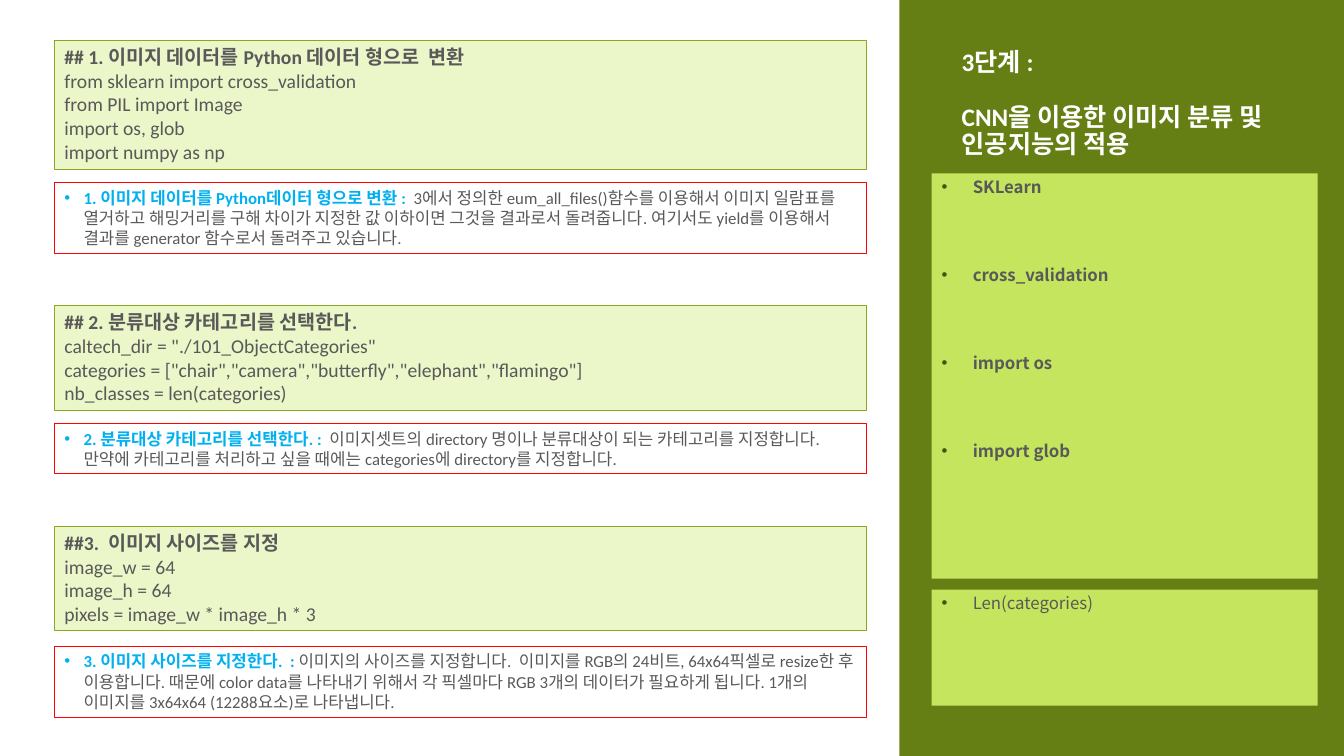
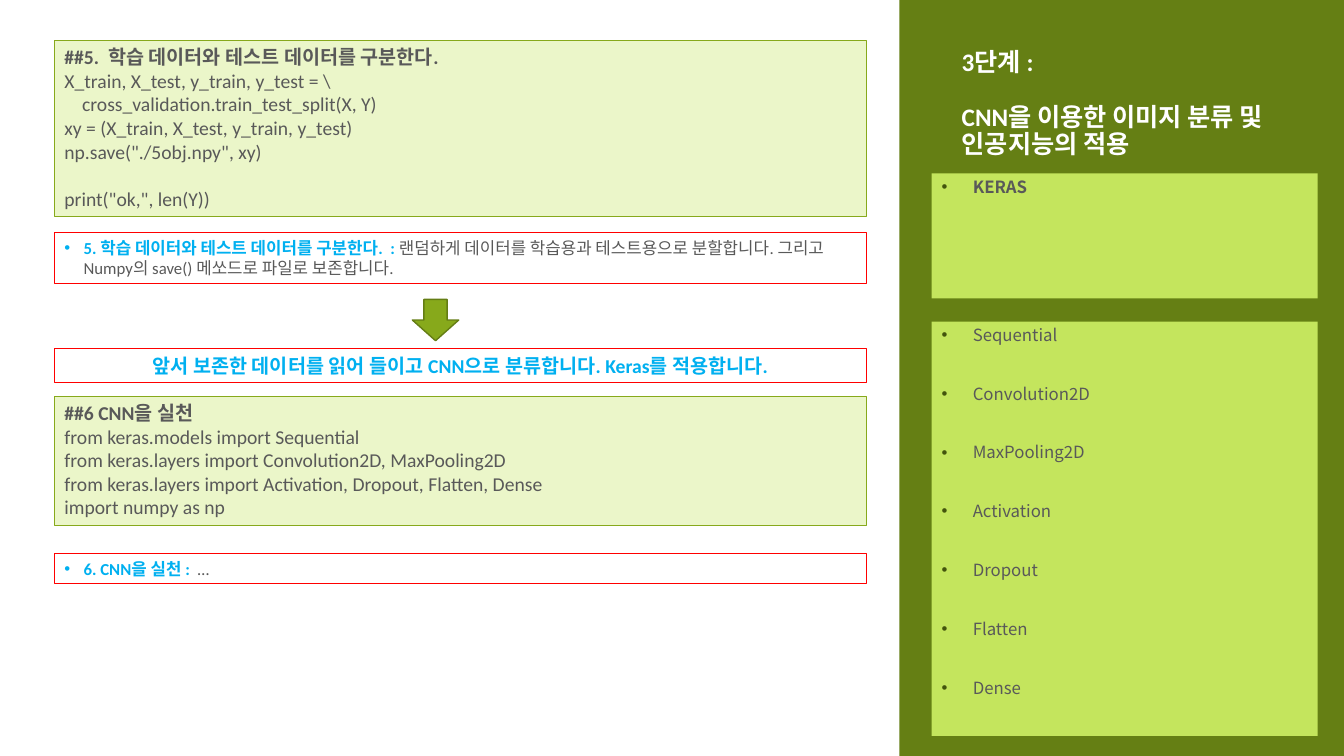
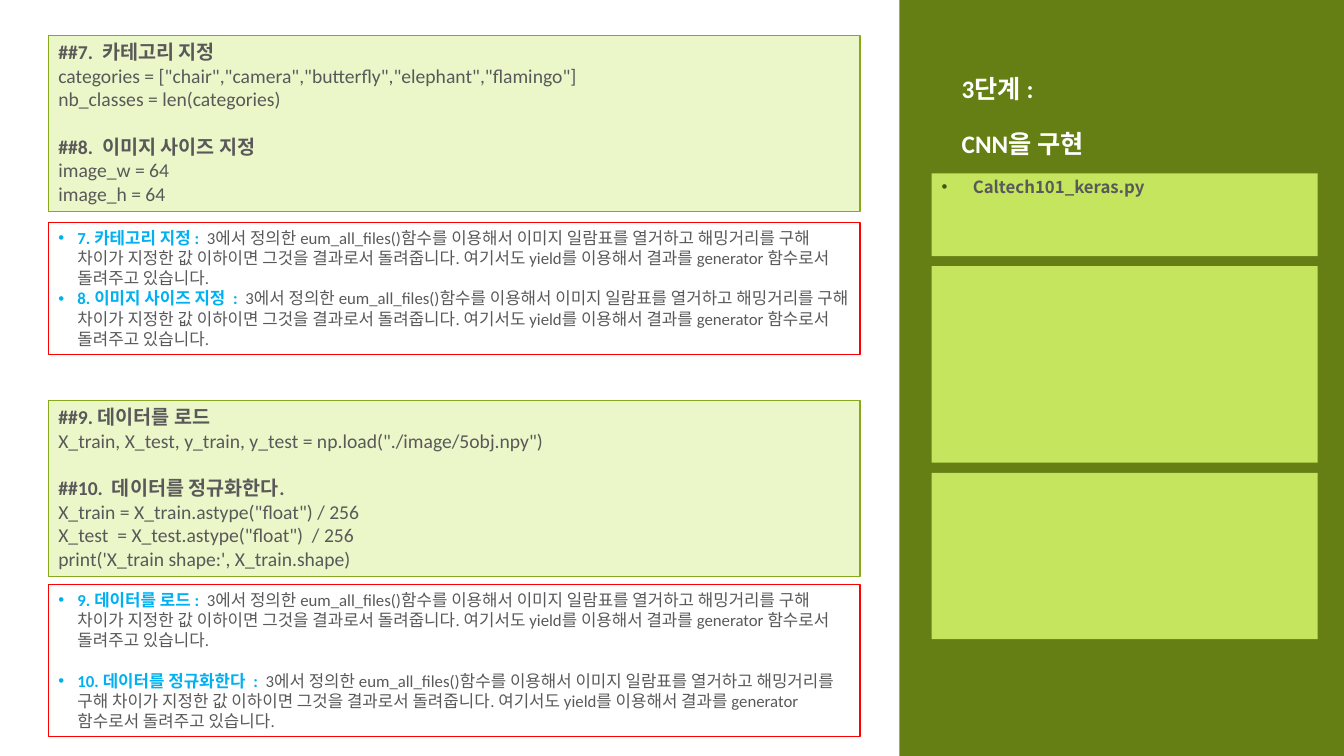
from lxml import etree
from pptx import Presentation
from pptx import util as u
from pptx.dml.color import RGBColor
from pptx.enum import shapes, text
from pptx.oxml.ns import qn

PX = 9144
HUE = {
    "band": "657F14", "card": "C4E55D", "code": "EBF6C9", "edge": "87A91B",
    "rim": "647D14", "red": "FF0000", "blue": "00B0F0", "ink": "595959",
    "dot": "43540D", "white": "FFFFFF",
}
LATIN, HANGUL = "Calibri", "Noto Sans CJK KR"
FRAME = {"word_wrap": True, "vertical_anchor": text.MSO_ANCHOR.TOP}
GROW = {**FRAME, "auto_size": text.MSO_AUTO_SIZE.SHAPE_TO_FIT_TEXT}
FONT = {
    "title": {"name": LATIN, "size": u.Pt(18), "bold": True},
    "head": {"name": LATIN, "size": u.Pt(14), "bold": True},
    "code": {"name": LATIN, "size": u.Pt(14), "bold": False},
    "label": {"name": LATIN, "size": u.Pt(12), "bold": True},
    "note": {"name": LATIN, "size": u.Pt(12), "bold": False},
    "term": {"name": HANGUL, "size": u.Pt(12), "bold": False},
    "key": {"name": HANGUL, "size": u.Pt(12), "bold": True},
}
LEFT = {"alignment": text.PP_ALIGN.LEFT}
MID = {"alignment": text.PP_ALIGN.CENTER}
WIDTH = 805


def tint(name):
    return RGBColor.from_string(HUE[name])


def apply(item, vals):
    for key, val in vals.items():
        setattr(item, key, val)


def shape(slide, box, fill=None, line=None, kind="RECTANGLE", wide=0.75):
    part = slide.shapes.add_shape(
        getattr(shapes.MSO_SHAPE, kind), *(n * PX for n in box))
    part.shadow.inherit = False
    if fill:
        part.fill.solid()
        part.fill.fore_color.rgb = tint(fill)
    else:
        part.fill.background()
    if line:
        part.line.color.rgb = tint(line)
        part.line.width = u.Pt(wide)
    else:
        part.line.fill.background()
    return part


def write(para, words, font, hue="ink"):
    run = para.add_run()
    run.text = words
    apply(run.font, FONT[font])
    run.font.color.rgb = tint(hue)


def lines(frame, count):
    for i in range(count):
        yield frame.add_paragraph() if i else frame.paragraphs[0]


def bullet(para, dent, hue=None):
    props = para._p.get_or_add_pPr()
    props.set("marL", str(dent * PX))
    props.set("indent", str(-dent * PX))
    if hue:
        color = etree.SubElement(props, qn("a:buClr"))
        etree.SubElement(color, qn("a:srgbClr"), val=HUE[hue])
    etree.SubElement(props, qn("a:buFont"), typeface="Arial")
    etree.SubElement(props, qn("a:buChar"), char="•")


def code(slide, box, words):
    frame = shape(slide, box, "code", "edge").text_frame
    apply(frame, GROW)
    rows = words.split("\n")
    full = [(row, i and not rows[i - 1]) for i, row in enumerate(rows) if row]
    for para, (row, gap) in zip(lines(frame, len(full)), full):
        apply(para, LEFT)
        if gap:
            para.space_before = u.Pt(17)
        write(para, row, "head" if row.startswith("##") else "code")


def note(slide, box, pairs, gap=0):
    frame = shape(slide, box, None, "red").text_frame
    apply(frame, GROW)
    for i, para in enumerate(lines(frame, len(pairs))):
        bullet(para, 19)
        apply(para, LEFT)
        if i and gap:
            para.space_before = u.Pt(gap)
        label, body = pairs[i]
        write(para, label, "label", "blue")
        write(para, body, "note")


def banner(slide, box, words):
    frame = shape(slide, box, None, "red").text_frame
    apply(frame, GROW)
    para = frame.paragraphs[0]
    apply(para, MID)
    write(para, words, "head", "blue")


def arrow(slide, box):
    x, y, w, h = box
    shape(slide, (x + 355, y, 46, h), "edge", "rim", "DOWN_ARROW", 1)


def card(slide, box, terms=(), font="term", gap=8):
    frame = shape(slide, box, "card").text_frame
    apply(frame, FRAME)
    for i, para in enumerate(lines(frame, len(terms))):
        bullet(para, 31, "dot")
        apply(para, {**LEFT, "line_spacing": u.Pt(13)})
        if i:
            para.space_before = u.Pt(gap)
        write(para, terms[i], font)


def side(slide, box, title, cards):
    x, y, w, h = box
    shape(slide, box, "band")
    part = slide.shapes.add_textbox(
        *(n * PX for n in (x + 52, y + 35, w - 99, 128)))
    frame = part.text_frame
    apply(frame, {"word_wrap": True, "vertical_anchor": text.MSO_ANCHOR.BOTTOM})
    for i, para in enumerate(lines(frame, len(title))):
        para.line_spacing = 0.9
        if i:
            para.space_before = u.Pt(19.8)
        write(para, title[i], "title", "white")
    for top, tall, *rest in cards:
        card(slide, (x + 32, y + top, w - 58, tall), *rest)


def main_part(slide, at, parts):
    x, y = at
    for draw, top, tall, *rest in parts:
        draw(slide, (x, y + top, WIDTH, tall), *rest)


STEP = "3단계 : "
APPLY = (STEP, "CNN을 이용한 이미지 분류 및 인공지능의 적용")
BUILD = (STEP, "CNN을 구현")
SUM = ("3에서 정의한 eum_all_files()함수를 이용해서 이미지 일람표를 열거하고 "
       "해밍거리를 구해 차이가 지정한 값 이하이면 그것을 결과로서 돌려줍니다. "
       "여기서도 yield를 이용해서 결과를 generator 함수로서 돌려주고 있습니다.")

DECK = [
    (APPLY, [
        (172, 402, ("SKLearn", "cross_validation", "import os", "import glob"),
         "key", 50),
        (585, 115, ("Len(categories)",)),
    ], (54, 40), [
        (code, 0, 128, """## 1. 이미지 데이터를 Python 데이터 형으로  변환
from sklearn import cross_validation
from PIL import Image
import os, glob
import numpy as np"""),
        (note, 141, 71, [
            ("1. 이미지 데이터를 Python데이터 형으로 변환 :  ", SUM)]),
        (code, 263, 104, """## 2. 분류대상 카테고리를 선택한다.
caltech_dir = "./101_ObjectCategories"
categories = ["chair","camera","butterfly","elephant","flamingo"]
nb_classes = len(categories)"""),
        (note, 380, 50, [
            ("2. 분류대상 카테고리를 선택한다. :  ",
             "이미지셋트의 directory 명이나 분류대상이 되는 카테고리를 지정합니다. "
             "만약에 카테고리를 처리하고 싶을 때에는 categories에 directory를 "
             "지정합니다.")]),
        (code, 482, 104, """##3.  이미지 사이즈를 지정
image_w = 64
image_h = 64
pixels = image_w * image_h * 3"""),
        (note, 601, 71, [
            ("3. 이미지 사이즈를 지정한다.  : ",
             "이미지의 사이즈를 지정합니다.  이미지를 RGB의 24비트, 64x64픽셀로 "
             "resize한 후 이용합니다. 때문에 color data를 나타내기 위해서 각 픽셀마다 "
             "RGB 3개의 데이터가 필요하게 됩니다. 1개의 이미지를 3x64x64 "
             "(12288요소)로 나타냅니다.")]),
    ]),
    (APPLY, [
        (172, 124, ("KERAS",), "key"),
        (319, 411, ("Sequential", "Convolution2D", "MaxPooling2D", "Activation",
                    "Dropout", "Flatten", "Dense"), "term", 29),
    ], (54, 40), [
        (code, 0, 175, """##5.  학습 데이터와 테스트 데이터를 구분한다.
X_train, X_test, y_train, y_test = \\
    cross_validation.train_test_split(X, Y)
xy = (X_train, X_test, y_train, y_test)
np.save("./5obj.npy", xy)

print("ok,", len(Y))"""),
        (note, 191, 50, [
            ("5. 학습 데이터와 테스트 데이터를 구분한다.  : ",
             "랜덤하게 데이터를 학습용과 테스트용으로 분할합니다. 그리고 Numpy의 "
             "save() 메쏘드로 파일로 보존합니다.")]),
        (arrow, 257, 41),
        (banner, 306, 34,
         "앞서 보존한 데이터를 읽어 들이고 CNN으로 분류합니다. Keras를 적용합니다."),
        (code, 353, 128, """##6 CNN을 실천
from keras.models import Sequential
from keras.layers import Convolution2D, MaxPooling2D
from keras.layers import Activation, Dropout, Flatten, Dense
import numpy as np"""),
        (note, 509, 30, [("6. CNN을 실천 :  ", "…")]),
    ]),
    (BUILD, [
        (172, 82, ("Caltech101_keras.py",), "key"),
        (264, 195),
        (469, 165),
    ], (48, 35), [
        (code, 0, 175, """##7.  카테고리 지정
categories = ["chair","camera","butterfly","elephant","flamingo"]
nb_classes = len(categories)

##8.  이미지 사이즈 지정
image_w = 64
image_h = 64"""),
        (note, 186, 131, [
            ("7. 카테고리 지정 :  ", SUM), ("8. 이미지 사이즈 지정  :  ", SUM)]),
        (code, 362, 175, """##9. 데이터를 로드
X_train, X_test, y_train, y_test = np.load("./image/5obj.npy")

##10.  데이터를 정규화한다.
X_train = X_train.astype("float") / 256
X_test  = X_test.astype("float")  / 256
print('X_train shape:', X_train.shape)"""),
        (note, 545, 151, [
            ("9. 데이터를 로드 :  ", SUM),
            ("10. 데이터를 정규화한다  :  ", SUM)], 14.6),
    ]),
]


def main():
    deck = Presentation()
    apply(deck, {"slide_width": 1333 * PX, "slide_height": 750 * PX})
    for title, cards, at, parts in DECK:
        slide = deck.slides.add_slide(deck.slide_layouts[6])
        side(slide, (892, 0, 441, 750), title, cards)
        main_part(slide, at, parts)
    deck.save("out.pptx")


if __name__ == "__main__":
    main()
